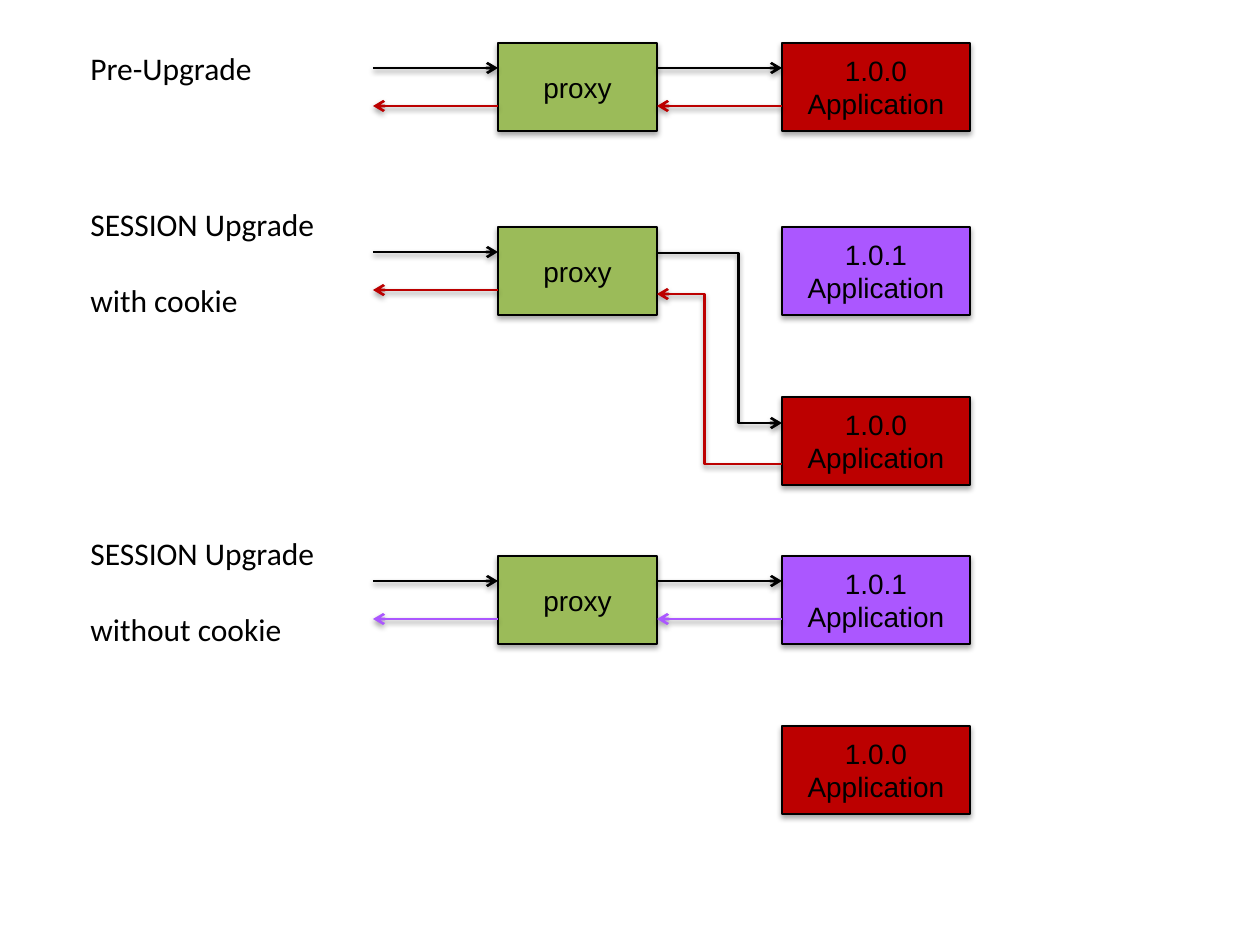
"""Build a slide showing how a proxy routes traffic during a session upgrade."""
import lxml.etree
import pptx
import pptx.dml.color
import pptx.enum.shapes
import pptx.enum.text
import pptx.oxml.ns
import pptx.util

SCALE = 914400 / 126
BLACK, GREEN, RED, PURPLE = "000000", "9BBB59", "BC0000", "AB57FF"
BOX_HEIGHT = 88
PROXY_LEFT, PROXY_WIDTH = 420, 159
APP_LEFT, APP_WIDTH = 704, 188
ENTRY_LEFT = 295
OLD_APP_DROP = 170


def px(length):
    """Turn whole pixels into EMU."""
    return pptx.util.Emu(round(length * SCALE))


def color(hex_text):
    """Turn a hex string into a colour."""
    return pptx.dml.color.RGBColor.from_string(hex_text)


def add_element(parent, tag, **attributes):
    """Append a drawing element to its parent."""
    return lxml.etree.SubElement(parent, pptx.oxml.ns.qn(tag), attributes)


def add_shadow(shape, distance, alpha):
    """Give a shape or connector a soft shadow below it."""
    effects = add_element(shape._element.spPr, "a:effectLst")
    shadow = add_element(effects, "a:outerShdw", blurRad="40000",
                         dist=str(distance), dir="5400000", rotWithShape="0")
    tint = add_element(shadow, "a:srgbClr", val=BLACK)
    add_element(tint, "a:alpha", val=str(alpha * 1000))


def format_text(para, font_name, size):
    """Set the font of every run in a paragraph."""
    for span in para.runs:
        span.font.name = font_name
        span.font.size = pptx.util.Pt(size)
        span.font.color.rgb = color(BLACK)


def add_label(page, left, top, lines):
    """Write the scenario name, one paragraph for each line."""
    height = 50 if len(lines) == 1 else 127
    label = page.shapes.add_textbox(px(left), px(top), px(275), px(height))
    frame = label.text_frame
    frame.word_wrap = True
    frame.text = "\n".join(lines)
    for index, para in enumerate(frame.paragraphs):
        if index:
            para.space_before = pptx.util.Pt(22)
        format_text(para, "Calibri", 18)


def add_box(page, left, top, width, text, fill):
    """Draw one proxy or application box."""
    box = page.shapes.add_shape(pptx.enum.shapes.MSO_SHAPE.RECTANGLE,
                                px(left), px(top), px(width), px(BOX_HEIGHT))
    box.fill.solid()
    box.fill.fore_color.rgb = color(fill)
    box.line.color.rgb = color(BLACK)
    box.line.width = pptx.util.Pt(1.5)
    add_shadow(box, 23000, 35)
    frame = box.text_frame
    frame.word_wrap = True
    frame.vertical_anchor = pptx.enum.text.MSO_ANCHOR.MIDDLE
    frame.text = text
    para = frame.paragraphs[0]
    para.alignment = pptx.enum.text.PP_ALIGN.CENTER
    format_text(para, "Arial", 16)


def add_arrow(page, left, top, right, stroke, end, drop=0, bend=0):
    """Draw an arrow, with an elbow at the given percentage when it drops."""
    kinds = pptx.enum.shapes.MSO_CONNECTOR
    arrow = page.shapes.add_connector(kinds.ELBOW if drop else kinds.STRAIGHT,
                                      px(left), px(top), px(right), px(top + drop))
    arrow.line.color.rgb = color(stroke)
    arrow.line.width = pptx.util.Pt(1.5)
    properties = arrow._element.spPr
    add_element(properties.find(pptx.oxml.ns.qn("a:ln")), end, type="arrow")
    if drop:
        guides = properties.find(".//" + pptx.oxml.ns.qn("a:avLst"))
        add_element(guides, "a:gd", name="adj1", fmla=f"val {bend * 1000}")
    add_shadow(arrow, 20000, 38)


def add_scenario(page, left, top, lines, label_rise, apps, reply, to_old=False):
    """Draw one scenario: its label, proxy, applications and traffic."""
    proxy, app = left + PROXY_LEFT, left + APP_LEFT
    add_label(page, left, top - label_rise, lines)
    add_box(page, proxy, top, PROXY_WIDTH, "proxy", GREEN)
    for index, (version, fill) in enumerate(apps):
        add_box(page, app, top + index * OLD_APP_DROP, APP_WIDTH,
                f"{version} Application", fill)
    flows = ((25, 26, BLACK, "a:tailEnd", 65), (63, 67, reply, "a:headEnd", 38))
    for offset, elbow_offset, stroke, end, bend in flows:
        add_arrow(page, left + ENTRY_LEFT, top + offset, proxy, stroke, end)
        if to_old:
            add_arrow(page, proxy + PROXY_WIDTH, top + elbow_offset, app,
                      stroke, end, OLD_APP_DROP, bend)
        else:
            add_arrow(page, proxy + PROXY_WIDTH, top + offset, app, stroke, end)


def main():
    """Build and save the deck."""
    deck = pptx.Presentation()
    deck.slide_width, deck.slide_height = px(1260), px(945)
    page = deck.slides.add_slide(deck.slide_layouts[6])
    old, new = ("1.0.0", RED), ("1.0.1", PURPLE)
    add_scenario(page, 78, 43, ["Pre-Upgrade"], 0, [old], RED)
    add_scenario(page, 78, 227, ["SESSION Upgrade", "with cookie"], 28,
                 [new, old], RED, to_old=True)
    add_scenario(page, 78, 556, ["SESSION Upgrade", "without cookie"], 28,
                 [new, old], PURPLE)
    deck.save("out.pptx")


if __name__ == "__main__":
    main()
